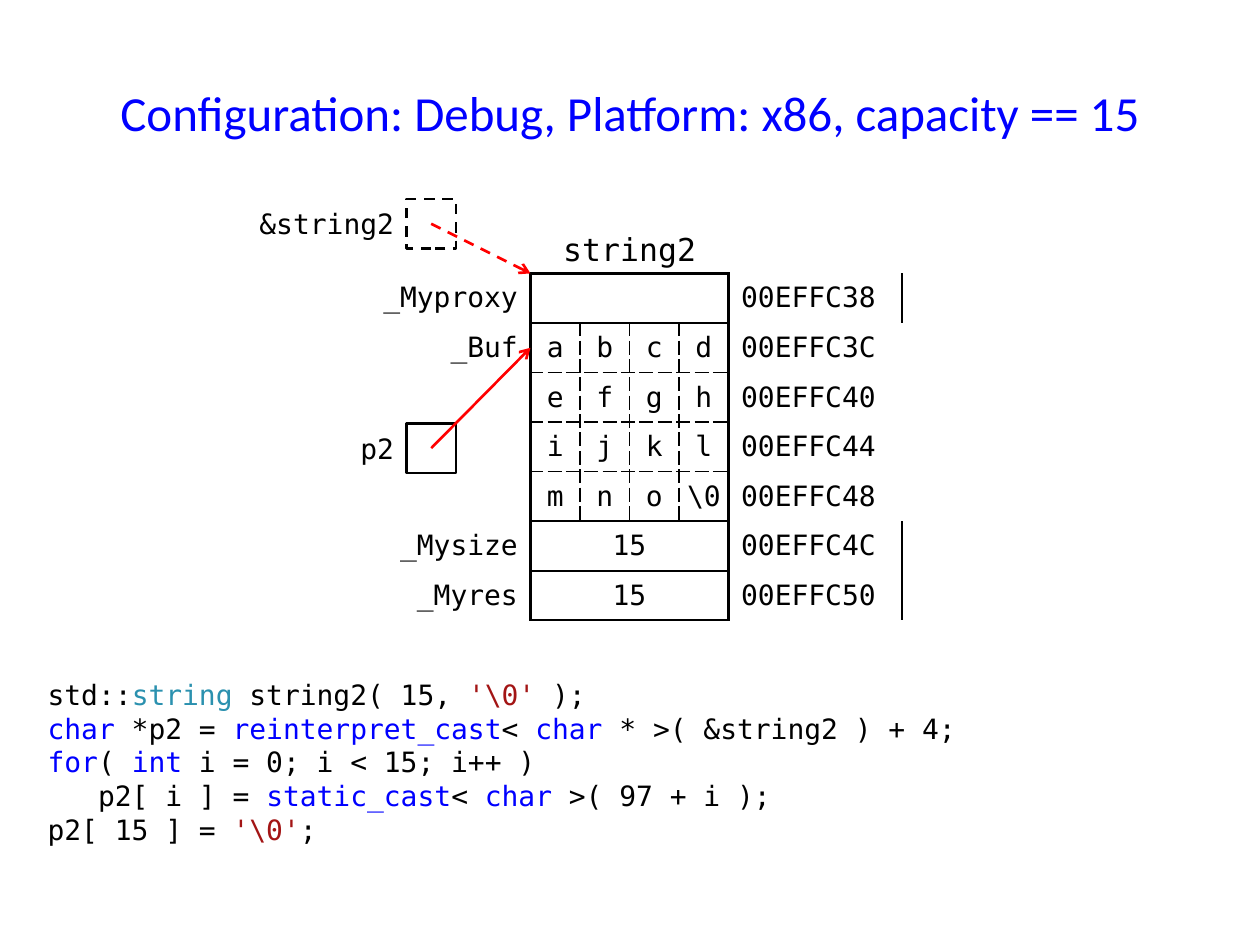
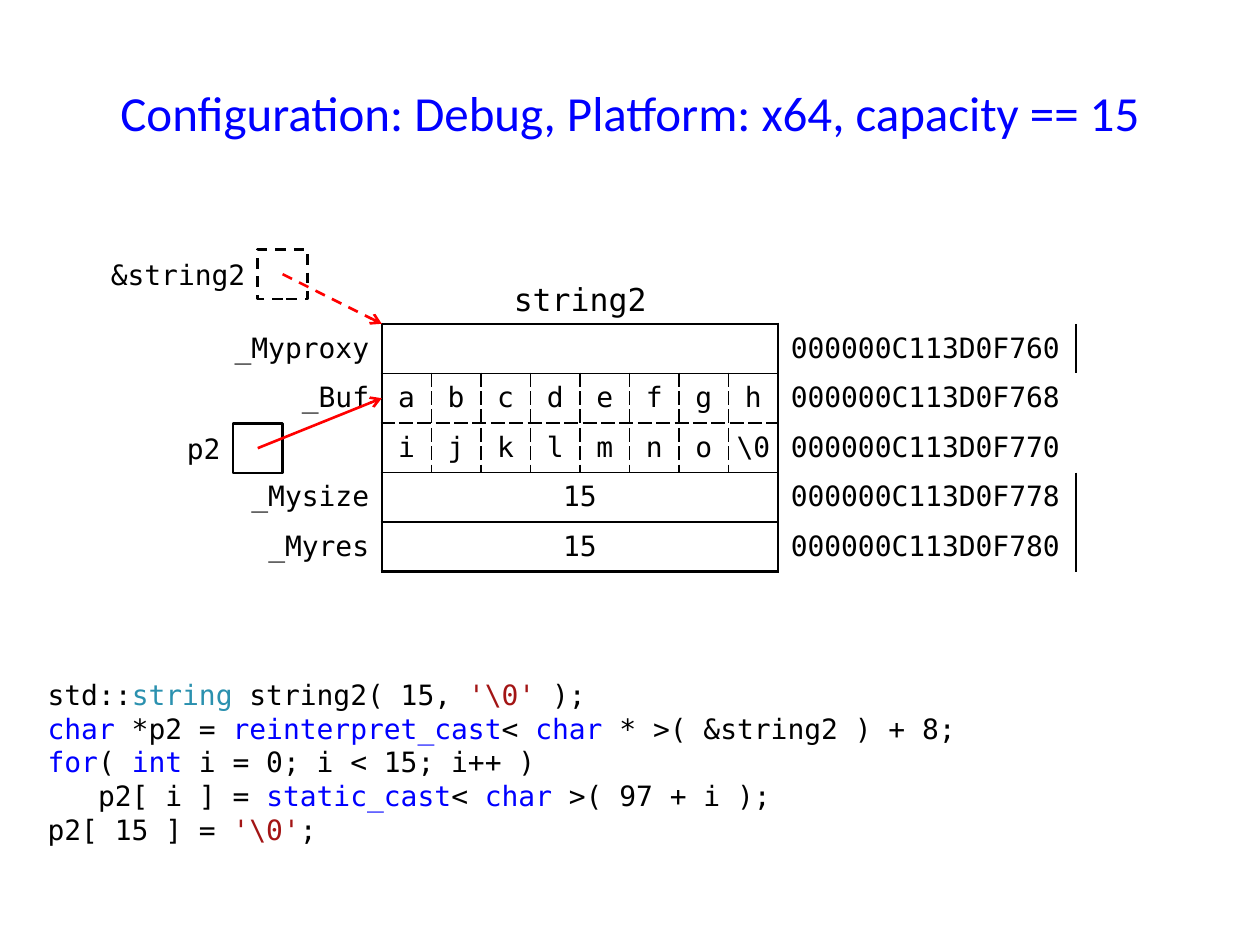
from lxml.etree import SubElement
from pptx import Presentation
from pptx.dml.color import RGBColor
from pptx.enum.dml import MSO_LINE
from pptx.enum.shapes import MSO_CONNECTOR, MSO_SHAPE
from pptx.enum.text import MSO_ANCHOR, PP_ALIGN
from pptx.oxml.ns import qn
from pptx.util import Inches, Pt

BLACK = RGBColor(0x00, 0x00, 0x00)
BLUE = RGBColor(0x00, 0x00, 0xFF)
TEAL = RGBColor(0x2B, 0x91, 0xAF)
BROWN = RGBColor(0xA3, 0x15, 0x15)
RED = RGBColor(0xFF, 0x00, 0x00)
MONO = "DejaVu Sans Mono"
NO_STYLE = "{2D5ABB26-0587-4C30-8999-92F81FD0307C}"

CELL = 1 / 2.54  # one grid square is a centimetre
LABEL_WIDTH = 3.5 * CELL
BUFFER = [*"abcdefghijklmno", r"\0"]

# platform, word size, first address, buffer left, table top,
# address column in cells, distance of the p2 box from the buffer in cells
LAYOUTS = [
    ("x86", 4, 0x00EFFC38, 4.21, 2.17, 3.5, 2.5),
    ("x64", 8, 0xC113D0F760, 3.03, 2.57, 6, 3),
]


def add_label(page, text, left, top, width, height, align, size=16,
              font=MONO, color=BLACK):
    box = page.shapes.add_textbox(Inches(left), Inches(top), Inches(width), Inches(height))
    frame = box.text_frame
    frame.word_wrap = True
    frame.vertical_anchor = MSO_ANCHOR.MIDDLE
    para = frame.paragraphs[0]
    para.text = text
    para.alignment = align
    para.font.name, para.font.size = font, Pt(size)
    para.font.color.rgb = color


def add_borders(cell, **edges):
    """Draw the edges L, R, T and B, each given as (points, dash)."""
    properties = cell._tc.get_or_add_tcPr()
    for side in "LRTB":
        if side in edges:
            points, dash = edges[side]
            line = SubElement(properties, qn(f"a:ln{side}"), w=str(Pt(points)))
            fill = SubElement(line, qn("a:solidFill"))
            SubElement(fill, qn("a:srgbClr"), val=str(BLACK))
            SubElement(line, qn("a:prstDash"), val=dash)


OUTER, INNER, DASHED = (1.5, "solid"), (1, "solid"), (1, "sysDash")

deck = Presentation()
deck.slide_width, deck.slide_height = Inches(10), Inches(7.5)

for platform, word, address, left, top, address_cells, p2_gap in LAYOUTS:
    page = deck.slides.add_slide(deck.slide_layouts[6])
    add_label(page, f"Configuration: Debug, Platform: {platform}, capacity == 15",
              0.47, 0.4, 9.06, 0.98, PP_ALIGN.CENTER, 28, "Calibri", BLUE)

    # Code
    code = [
        [("std::", BLACK), ("string ", TEAL), ("string2( 15, ", BLACK),
         (r"'\0'", BROWN), (" );", BLACK)],
        [("char", BLUE), (" *p2 = ", BLACK), ("reinterpret_cast", BLUE), ("< ", BLACK),
         ("char", BLUE), (f" * >( &string2 ) + {word};", BLACK)],
        [("for", BLUE), ("( ", BLACK), ("int", BLUE), (" i = 0; i < 15; i++ )", BLACK)],
        [("   p2[ i ] = ", BLACK), ("static_cast", BLUE), ("< ", BLACK),
         ("char", BLUE), (" >( 97 + i );", BLACK)],
        [("p2[ 15 ] = ", BLACK), (r"'\0'", BROWN), (";", BLACK)],
    ]
    box = page.shapes.add_textbox(Inches(0.28), Inches(5.33), Inches(9.45), Inches(1.57))
    box.text_frame.word_wrap = True
    for number, line in enumerate(code):
        para = box.text_frame.add_paragraph() if number else box.text_frame.paragraphs[0]
        para.font.name, para.font.size = MONO, Pt(16)
        for text, color in line:
            span = para.add_run()
            span.text = text
            span.font.color.rgb = color

    # Memory table: field name, one column per byte, address
    buffer_rows = len(BUFFER) // word
    fields = ["_Myproxy", "_Buf", *[""] * (buffer_rows - 1), "_Mysize", "_Myres"]
    values = {"_Myproxy": "", "_Mysize": "15", "_Myres": "15"}
    widths = [LABEL_WIDTH, *[CELL] * word, address_cells * CELL]
    last_row, last_column = len(fields) - 1, word + 1
    table = page.shapes.add_table(
        len(fields), len(widths), Inches(left - LABEL_WIDTH), Inches(top),
        Inches(sum(widths)), Inches(len(fields) * CELL)).table
    table.first_row = table.horz_banding = False
    table._tbl.tblPr.find(qn("a:tableStyleId")).text = NO_STYLE
    for column, width in zip(table.columns, widths):
        column.width = Inches(width)

    for row, field in enumerate(fields):
        table.rows[row].height = Inches(CELL)
        is_buffer = field not in values
        if is_buffer:
            start = (row - 1) * word
            content = BUFFER[start:start + word]
        else:
            content = [values[field]] + [""] * (word - 1)
            table.cell(row, 1).merge(table.cell(row, word))
        texts = [field, *content, f"{address + row * word:0{2 * word}X}"]
        for column, text in enumerate(texts):
            cell = table.cell(row, column)
            side_margin = 0 if text == r"\0" else 0.08
            cell.margin_left = cell.margin_right = Inches(side_margin)
            cell.margin_top = cell.margin_bottom = Inches(0.04)
            cell.vertical_anchor = MSO_ANCHOR.MIDDLE
            para = cell.text_frame.paragraphs[0]
            para.text = text
            para.alignment = PP_ALIGN.CENTER
            if column == 0:
                para.alignment = PP_ALIGN.RIGHT
                cell.margin_right = Inches(0.1)
                add_borders(cell, R=OUTER)
            elif column == last_column:
                para.alignment = PP_ALIGN.LEFT
                cell.margin_left = Inches(0.1)
                add_borders(cell, L=OUTER)
            elif is_buffer:
                add_borders(cell,
                            L=OUTER if column == 1 else DASHED,
                            R=OUTER if column == word else DASHED,
                            T=INNER if row == 1 else DASHED,
                            B=INNER if row == buffer_rows else DASHED)
            elif column == 1:
                add_borders(cell, L=OUTER, R=OUTER,
                            T=INNER if row else OUTER,
                            B=OUTER if row == last_row else INNER)
            para.font.name, para.font.size = MONO, Pt(16)
            para.font.color.rgb = BLACK
            cell.fill.background()

    add_label(page, "string2", left + (word - 4) / 2 * CELL, top - CELL,
              4 * CELL, CELL, PP_ALIGN.CENTER, 18)

    # Pointers: name, label width, box left, box top, target height, dash
    pointers = [
        ("&string2", LABEL_WIDTH, left - 2.5 * CELL, top - 1.5 * CELL, top, MSO_LINE.DASH),
        ("p2", 1.5 * CELL, left - p2_gap * CELL, 3.36, top + 1.5 * CELL, MSO_LINE.SOLID),
    ]
    for name, label_width, box_left, box_top, target, dash in pointers:
        add_label(page, name, box_left - label_width, box_top, label_width, CELL,
                  PP_ALIGN.RIGHT)
        square = page.shapes.add_shape(MSO_SHAPE.RECTANGLE, Inches(box_left),
                                       Inches(box_top), Inches(CELL), Inches(CELL))
        square.shadow.inherit = False
        square.fill.background()
        arrow = page.shapes.add_connector(
            MSO_CONNECTOR.STRAIGHT, Inches(box_left + CELL / 2),
            Inches(box_top + CELL / 2), Inches(left), Inches(target))
        for shape, color in [(square, BLACK), (arrow, RED)]:
            shape.line.color.rgb = color
            shape.line.width = Pt(1.5)
            shape.line.dash_style = dash
        SubElement(arrow.line._get_or_add_ln(), qn("a:tailEnd"), type="arrow")
        SubElement(arrow._element.spPr, qn("a:effectLst"))

deck.save("out.pptx")
